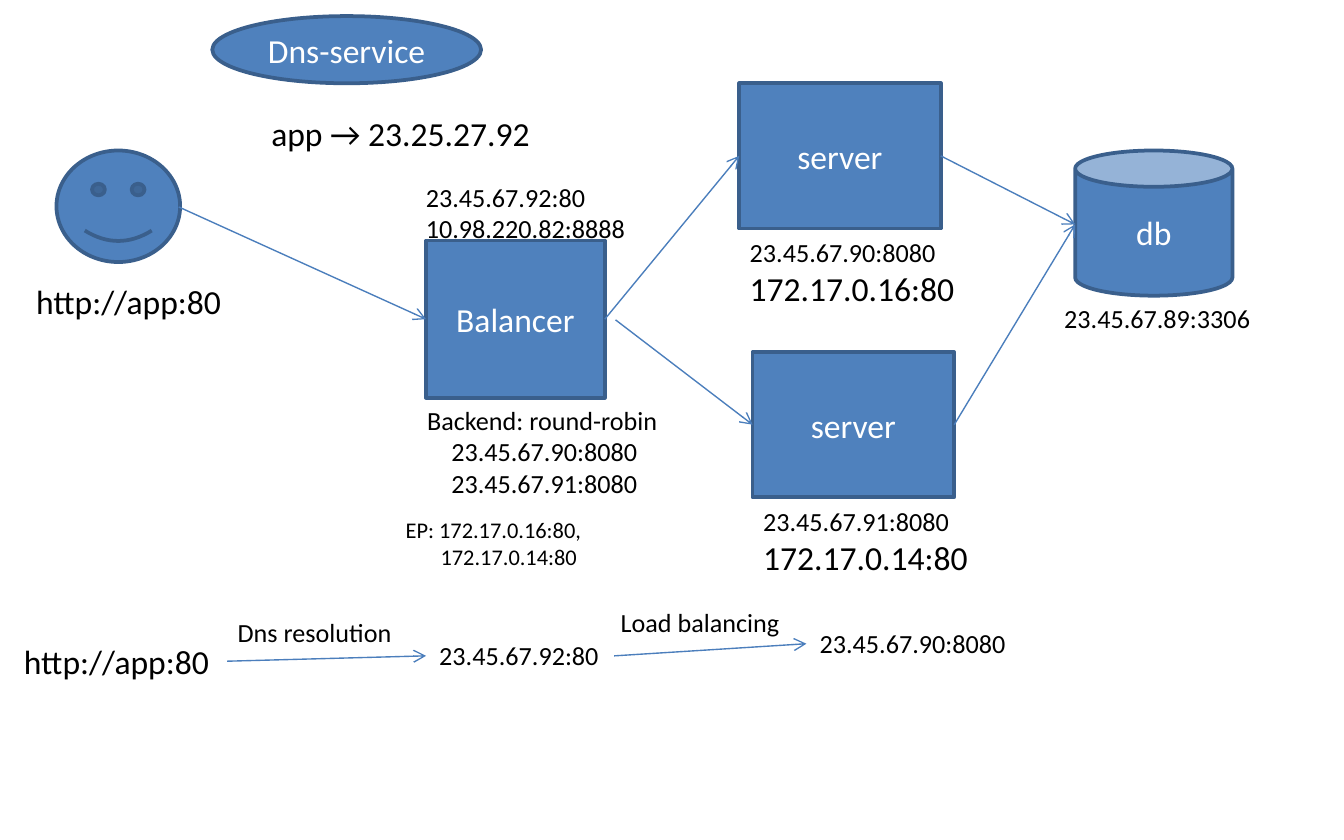
from dataclasses import dataclass

import pptx
import pptx.dml.color
import pptx.enum.shapes
import pptx.enum.text
import pptx.oxml
import pptx.oxml.ns
import pptx.util
from pptx.util import Inches

SHAPES = pptx.enum.shapes.MSO_SHAPE
TOP, LEFT, BOTTOM, RIGHT = range(4)


@dataclass(frozen=True)
class Theme:
    font: str = "Calibri"
    fill: str = "4F81BD"
    outline: str = "3A5F8C"
    arrow: str = "4B7EBC"
    light: str = "FFFFFF"
    dark: str = "000000"
    large: int = 18
    medium: int = 14
    small: int = 12
    outline_width: float = 2
    arrow_width: float = 0.75


THEME = Theme()


def rgb(value):
    return pptx.dml.color.RGBColor.from_string(value)


def apply_format(target, values):
    for name, value in values.items():
        setattr(target, name, value)


def format_font(font, size, color):
    apply_format(font, {"name": THEME.font, "size": pptx.util.Pt(size)})
    font.color.rgb = rgb(color)


def add_node(slide, kind, box, text=""):
    """Add a filled shape with an optional centred label."""
    shape = slide.shapes.add_shape(kind, *map(Inches, box))
    shape.shadow.inherit = False
    shape.fill.solid()
    shape.fill.fore_color.rgb = rgb(THEME.fill)
    shape.line.color.rgb = rgb(THEME.outline)
    shape.line.width = pptx.util.Pt(THEME.outline_width)
    if text:
        frame = shape.text_frame
        frame.vertical_anchor = pptx.enum.text.MSO_ANCHOR.MIDDLE
        paragraph = frame.paragraphs[0]
        paragraph.alignment = pptx.enum.text.PP_ALIGN.CENTER
        run = paragraph.add_run()
        run.text = text
        format_font(run.font, THEME.large, THEME.light)
    return shape


def add_label(slide, box, *lines):
    """Add text lines given as (text, size) or (text, size, indent in inches)."""
    frame = slide.shapes.add_textbox(*map(Inches, box)).text_frame
    apply_format(frame, {
        "word_wrap": False,
        "auto_size": pptx.enum.text.MSO_AUTO_SIZE.SHAPE_TO_FIT_TEXT,
    })
    for index, (text, size, *indent) in enumerate(lines):
        paragraph = frame.add_paragraph() if index else frame.paragraphs[0]
        if indent:
            properties = paragraph._p.get_or_add_pPr()
            properties.set("marL", str(Inches(indent[0])))
            properties.set("indent", "0")
        run = paragraph.add_run()
        run.text = text
        format_font(run.font, size, THEME.dark)


def add_arrow(slide, start, end, source=None, target=None):
    """Draw an arrow, joined to the source's right and the target's left side."""
    connector = slide.shapes.add_connector(
        pptx.enum.shapes.MSO_CONNECTOR.STRAIGHT, *map(Inches, (*start, *end)))
    if source is not None:
        connector.begin_connect(source, RIGHT)
    if target is not None:
        connector.end_connect(target, LEFT)
    connector.line.color.rgb = rgb(THEME.arrow)
    connector.line.width = pptx.util.Pt(THEME.arrow_width)
    line = connector.line._get_or_add_ln()
    tail = pptx.oxml.parse_xml(
        f'<a:tailEnd {pptx.oxml.ns.nsdecls("a")} type="arrow"/>')
    line.append(tail)
    line.addnext(pptx.oxml.parse_xml(
        f'<a:effectLst {pptx.oxml.ns.nsdecls("a")}/>'))


def add_database(slide, box):
    left, top, width, height = box
    add_node(slide, SHAPES.CAN, box, "db")
    add_label(slide, (left - 0.18, top + height, 1.6, 0.34),
              ("23.45.67.89:3306", THEME.medium))


def add_client(slide, box):
    left, top, width, height = box
    add_node(slide, SHAPES.SMILEY_FACE, box)
    add_label(slide, (left - 0.25, top + height + 0.09, 1.6, 0.4),
              ("http://app:80", THEME.large))


def add_dns(slide, box):
    left, top, width, height = box
    add_node(slide, SHAPES.OVAL, box, "Dns-service")
    add_label(slide, (left + 0.34, top + height + 0.17, 2.19, 0.4),
              ("app → 23.25.27.92", THEME.large))


def add_server(slide, box, public_address, container_address):
    left, top, width, height = box
    label_box = (left - 0.02, top + height + 0.01, 1.74, 0.64)
    add_label(slide, label_box, (public_address, THEME.medium),
              (container_address, THEME.large))
    return add_node(slide, SHAPES.RECTANGLE, box, "server")


def add_balancer(slide, box):
    left, top, width, height = box
    bottom = top + height
    shape = add_node(slide, SHAPES.RECTANGLE, box, "Balancer")
    add_label(slide, (left - 0.1, top - 0.49, 1.7, 0.57),
              ("23.45.67.92:80", THEME.medium),
              ("10.98.220.82:8888", THEME.medium))
    add_label(slide, (left - 0.09, bottom, 1.93, 0.81),
              ("Backend: round-robin", THEME.medium),
              ("23.45.67.90:8080", THEME.medium, 0.18),
              ("23.45.67.91:8080", THEME.medium, 0.18))
    add_label(slide, (left - 0.25, bottom + 0.83, 1.57, 0.5),
              ("EP: 172.17.0.16:80,", THEME.small),
              ("172.17.0.14:80", THEME.small, 0.26))
    return shape


def add_request_flow(slide, box):
    """Place the row of addresses and the arrows between them."""
    left, top, width, height = box
    labels = [
        (0, 0.26, 1.6, 0.4, "http://app:80", THEME.large),
        (1.59, 0.08, 1.36, 0.34, "Dns resolution", THEME.medium),
        (3.09, 0.25, 1.4, 0.34, "23.45.67.92:80", THEME.medium),
        (4.44, 0, 1.4, 0.34, "Load balancing", THEME.medium),
        (5.92, 0.16, 1.6, 0.34, "23.45.67.90:8080", THEME.medium),
    ]
    for x, y, label_width, label_height, text, size in labels:
        add_label(slide, (left + x, top + y, label_width, label_height),
                  (text, size))
    for x1, y1, x2, y2 in [(1.61, 0.46, 3.09, 0.42), (4.49, 0.42, 5.92, 0.33)]:
        add_arrow(slide, (left + x1, top + y1), (left + x2, top + y2))


def main():
    presentation = pptx.Presentation()
    apply_format(presentation, {"slide_width": Inches(10),
                                "slide_height": Inches(6.25)})
    slide = presentation.slides.add_slide(presentation.slide_layouts[6])

    # Services
    add_database(slide, (8, 1.12, 1.17, 1.08))
    add_client(slide, (0.42, 1.12, 0.92, 0.83))
    add_dns(slide, (1.58, 0.12, 2, 0.5))
    balancer = add_balancer(slide, (3.17, 1.79, 1.33, 1.17))
    first_server = add_server(slide, (5.5, 0.62, 1.5, 1.08),
                              "23.45.67.90:8080", "172.17.0.16:80")
    second_server = add_server(slide, (5.6, 2.62, 1.5, 1.08),
                               "23.45.67.91:8080", "172.17.0.14:80")

    # Connections between services
    database_side = (8, 1.67)
    add_arrow(slide, (1.33, 1.54), (3.17, 2.38), target=balancer)
    add_arrow(slide, (4.5, 2.38), (5.5, 1.17), balancer, first_server)
    add_arrow(slide, (4.58, 2.38), (5.6, 3.17), target=second_server)
    add_arrow(slide, (7, 1.17), database_side, source=first_server)
    add_arrow(slide, (7.1, 3.17), database_side, source=second_server)

    # Request path
    add_request_flow(slide, (0.08, 4.46, 7.52, 0.66))

    presentation.save("out.pptx")


if __name__ == "__main__":
    main()
